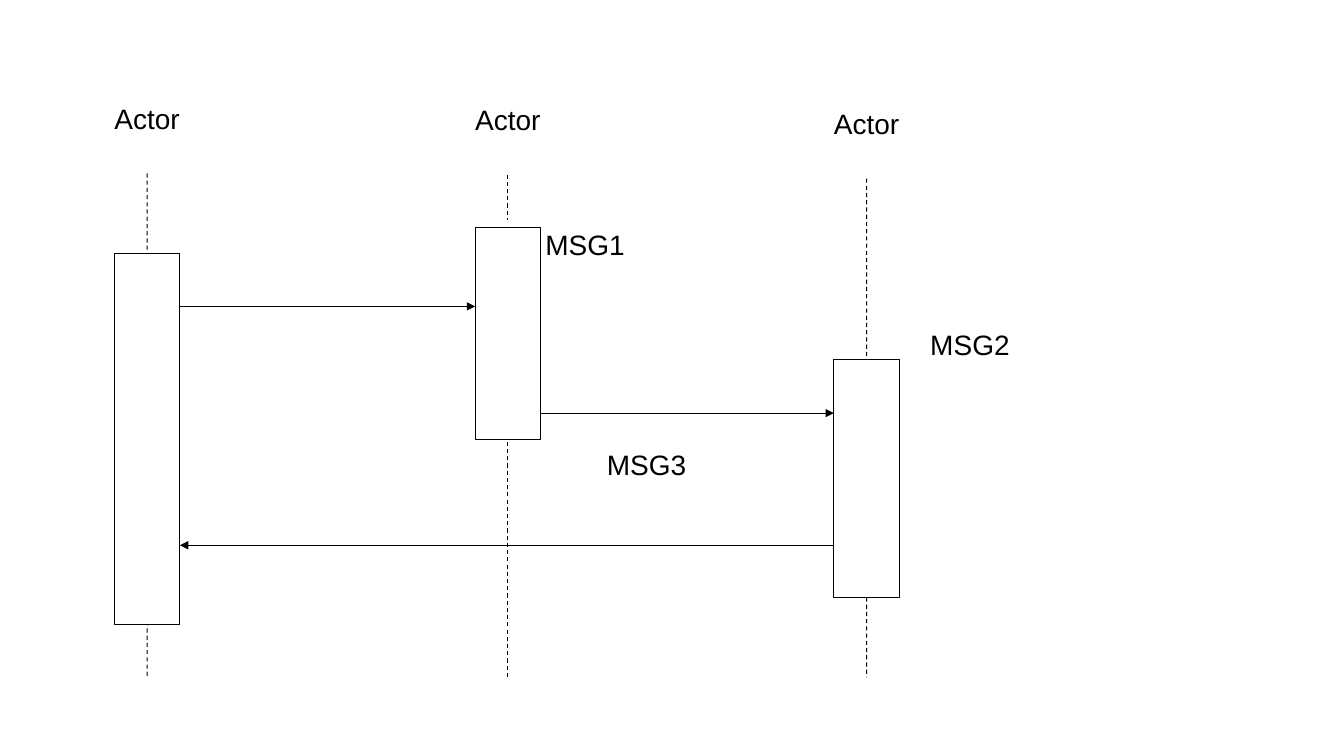
from dataclasses import dataclass

from lxml.etree import SubElement
from pptx import Presentation
from pptx.dml.color import RGBColor
from pptx.enum.dml import MSO_LINE_DASH_STYLE as Dash
from pptx.enum.shapes import MSO_CONNECTOR as ConnectorKind, MSO_SHAPE as ShapeKind
from pptx.enum.text import MSO_ANCHOR as Anchor, PP_ALIGN as Align
from pptx.oxml.ns import qn
from pptx.shapes.autoshape import Shape
from pptx.shapes.connector import Connector
from pptx.shapes.shapetree import GroupShapes
from pptx.util import Cm, Pt


@dataclass(frozen=True)
class Theme:
    ink: RGBColor = RGBColor(0, 0, 0)
    paper: RGBColor = RGBColor(255, 255, 255)
    font: str = "Arial"
    text_size: float = 20
    line_width: float = 0.75


@dataclass(frozen=True)
class Actor:
    """A lifeline with its label and activation bar, in centimetres."""
    name: str
    center: float
    label_top: float
    bar_top: float
    bar_height: float


@dataclass(frozen=True)
class Message:
    """An arrow between two actors and its separate label, in centimetres."""
    name: str
    sender: Actor
    receiver: Actor
    arrow_y: float
    label_left: float
    label_top: float


THEME = Theme()
LABEL_WIDTH, LABEL_HEIGHT = 4.95, 2.01
BAR_WIDTH = 1.65
LIFELINE_BOTTOM = 17.07

FIRST = Actor("Actor", 3.71, 2.36, 6.4, 9.35)
SECOND = Actor("Actor", 12.8, 2.39, 5.74, 5.33)
THIRD = Actor("Actor", 21.84, 2.49, 9.07, 5.99)
ACTORS = (FIRST, SECOND, THIRD)
MESSAGES = (
    Message("MSG1", FIRST, SECOND, 7.72, 12.27, 5.54),
    Message("MSG2", SECOND, THIRD, 10.41, 21.97, 8.05),
    Message("MSG3", THIRD, FIRST, 13.74, 13.82, 11.07),
)


def add_box(shapes: GroupShapes, left: float, top: float, width: float, height: float) -> Shape:
    box = shapes.add_shape(ShapeKind.RECTANGLE, Cm(left), Cm(top), Cm(width), Cm(height))
    box.shadow.inherit = False
    box.fill.solid()
    box.fill.fore_color.rgb = THEME.paper
    return box


def add_label(shapes: GroupShapes, text: str, left: float, top: float) -> Shape:
    label = add_box(shapes, left, top, LABEL_WIDTH, LABEL_HEIGHT)
    label.line.fill.background()
    frame = label.text_frame
    frame_format = {"text": text, "word_wrap": True,
                    "vertical_anchor": Anchor.TOP, "margin_top": Cm(0.2)}
    for attribute, value in frame_format.items():
        setattr(frame, attribute, value)
    paragraph = frame.paragraphs[0]
    paragraph.alignment = Align.CENTER
    font = paragraph.runs[0].font
    for attribute, value in {"name": THEME.font, "size": Pt(THEME.text_size)}.items():
        setattr(font, attribute, value)
    font.color.rgb = THEME.ink
    return label


def add_line(shapes: GroupShapes, x1: float, y1: float, x2: float, y2: float) -> Connector:
    line = shapes.add_connector(ConnectorKind.STRAIGHT, Cm(x1), Cm(y1), Cm(x2), Cm(y2))
    line.line.width = Pt(THEME.line_width)
    line.line.color.rgb = THEME.ink
    SubElement(line._element.spPr, qn("a:effectLst"))
    return line


def add_lifeline(shapes: GroupShapes, actor: Actor) -> None:
    label = add_label(shapes, actor.name, actor.center - LABEL_WIDTH / 2, actor.label_top)
    lifeline = add_line(shapes, actor.center, actor.label_top + LABEL_HEIGHT,
                        actor.center, LIFELINE_BOTTOM)
    lifeline.line.dash_style = Dash.DASH
    lifeline.begin_connect(label, 2)


def add_message_arrow(shapes: GroupShapes, message: Message) -> None:
    """Run from the sender's lifeline to the near side of the receiver's bar."""
    start, target = message.sender.center, message.receiver.center
    near_side = -BAR_WIDTH / 2 if start < target else BAR_WIDTH / 2
    arrow = add_line(shapes, start, message.arrow_y, target + near_side, message.arrow_y)
    SubElement(arrow.line._get_or_add_ln(), qn("a:tailEnd"), type="triangle")


def add_activation_bar(shapes: GroupShapes, actor: Actor) -> None:
    bar = add_box(shapes, actor.center - BAR_WIDTH / 2, actor.bar_top, BAR_WIDTH, actor.bar_height)
    bar.line.width = Pt(THEME.line_width)
    bar.line.color.rgb = THEME.ink


def main() -> None:
    deck = Presentation()
    deck.slide_width, deck.slide_height = Cm(33.87), Cm(19.05)
    slide = deck.slides.add_slide(deck.slide_layouts[6])
    diagram = slide.shapes.add_group_shape().shapes
    for actor in ACTORS:
        add_lifeline(diagram, actor)
    for message in MESSAGES:
        add_message_arrow(diagram, message)
    for message in MESSAGES:
        add_label(diagram, message.name, message.label_left, message.label_top)
    for actor in ACTORS:
        add_activation_bar(diagram, actor)
    deck.save("out.pptx")


if __name__ == "__main__":
    main()
